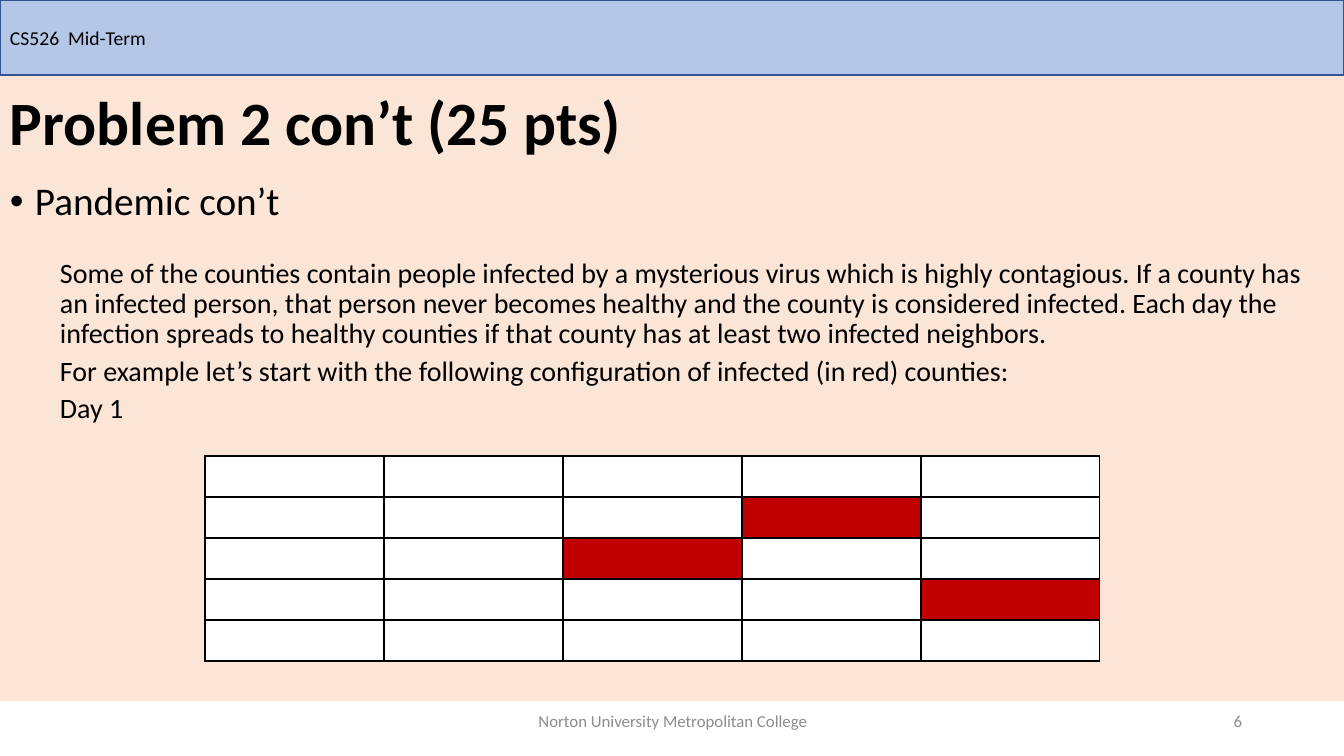
from lxml import etree
from pptx import Presentation
from pptx.dml.color import RGBColor
from pptx.enum.shapes import MSO_SHAPE
from pptx.enum.text import MSO_ANCHOR, PP_ALIGN
from pptx.oxml.ns import qn
from pptx.util import Pt

RECTANGLE = MSO_SHAPE.RECTANGLE
TOP, MIDDLE = MSO_ANCHOR.TOP, MSO_ANCHOR.MIDDLE
LEFT, CENTER, RIGHT = PP_ALIGN.LEFT, PP_ALIGN.CENTER, PP_ALIGN.RIGHT
FONT = "Calibri"
PX = 914400 / 100.8
SLIDE_WIDTH, SLIDE_HEIGHT = 1344, 756
BLACK, GRAY, WHITE, RED = "000000", "8C8C8C", "FFFFFF", "C00000"
PEACH, BLUE, DARK_BLUE = "FBE5D6", "B4C7E7", "325491"

# Content: each paragraph is (text, format values)
HEADING = {"size": 44, "bold": True, "line_spacing": 0.9}
BULLET = {"size": 28, "line_spacing": 0.9, "space_before": 10, "indent": (25, -25), "bullet": "•"}
DETAIL = {"size": 20, "line_spacing": 0.9, "space_before": 5, "indent": (50, 0)}
FIRST_DETAIL = {**DETAIL, "space_before": 25}
FOOTER = {"size": 12, "color": GRAY}

# Blocks: box in px, fill, line, anchor, paragraphs
BLOCKS = [
    ((0, 75, 1344, 102), PEACH, None, MIDDLE, [("Problem 2 con’t (25 pts)", HEADING)]),
    ((0, 0, 1344, 75), BLUE, DARK_BLUE, MIDDLE, [("CS526  Mid-Term", {"size": 14})]),
    ((446, 701, 454, 40), None, None, MIDDLE,
     [("Norton University Metropolitan College", {**FOOTER, "alignment": CENTER})]),
    ((950, 701, 302, 40), None, None, MIDDLE, [("6", {**FOOTER, "alignment": RIGHT})]),
    ((0, 177, 1344, 524), PEACH, None, TOP, [
        ("Pandemic con’t", BULLET),
        ("Some of the counties contain people infected by a mysterious virus which is highly "
         "contagious. If a county has an infected person, that person never becomes healthy and "
         "the county is considered infected. Each day the infection spreads to healthy counties "
         "if that county has at least two infected neighbors.", FIRST_DETAIL),
        ("For example let’s start with the following configuration of infected (in red) counties:",
         DETAIL),
        ("Day 1", DETAIL),
    ]),
]

GRID_LEFT, GRID_TOP, GRID_SIZE = 205, 456, 5
COUNTY_WIDTH, COUNTY_HEIGHT = 179, 41
INFECTED = {(1, 3), (2, 2), (3, 4)}


def emu(pixels):
    return round(pixels * PX)


def color(hex_string):
    return RGBColor.from_string(hex_string)


def write_paragraph(paragraph, text, values):
    run = paragraph.add_run()
    run.text = text
    run.font.name = FONT
    run.font.size = Pt(values["size"])
    run.font.bold = values.get("bold", False)
    run.font.color.rgb = color(values.get("color", BLACK))
    settings = {
        "alignment": values.get("alignment", LEFT),
        "line_spacing": values.get("line_spacing", 1.0),
        "space_before": Pt(values.get("space_before", 0)),
    }
    for name, value in settings.items():
        setattr(paragraph, name, value)
    properties = paragraph._p.get_or_add_pPr()
    margin, indent = values.get("indent", (0, 0))
    properties.set("marL", str(emu(margin)))
    properties.set("indent", str(emu(indent)))
    if "bullet" in values:
        etree.SubElement(properties, qn("a:buFont")).set("typeface", "Arial")
        etree.SubElement(properties, qn("a:buChar")).set("char", values["bullet"])


def add_block(slide, box, fill, line, anchor, paragraphs):
    box = [emu(length) for length in box]
    if fill:
        shape = slide.shapes.add_shape(RECTANGLE, *box)
        shape.shadow.inherit = False
        shape.fill.solid()
        shape.fill.fore_color.rgb = color(fill)
        if line:
            shape.line.color.rgb = color(line)
            shape.line.width = Pt(1)
        else:
            shape.line.fill.background()
    else:
        shape = slide.shapes.add_textbox(*box)
    frame = shape.text_frame
    frame.word_wrap = True
    frame.vertical_anchor = anchor
    for index, (text, values) in enumerate(paragraphs):
        paragraph = frame.add_paragraph() if index else frame.paragraphs[0]
        write_paragraph(paragraph, text, values)


def add_borders(cell):
    properties = cell._tc.get_or_add_tcPr()
    for side in ("a:lnL", "a:lnR", "a:lnT", "a:lnB"):
        border = etree.SubElement(properties, qn(side), w=str(Pt(1)))
        border_fill = etree.SubElement(border, qn("a:solidFill"))
        etree.SubElement(border_fill, qn("a:srgbClr"), val=BLACK)


def add_county_grid(slide):
    box = (GRID_LEFT, GRID_TOP, GRID_SIZE * COUNTY_WIDTH, GRID_SIZE * COUNTY_HEIGHT)
    table = slide.shapes.add_table(GRID_SIZE, GRID_SIZE, *map(emu, box)).table
    table.first_row = table.horz_banding = False
    for column in table.columns:
        column.width = emu(COUNTY_WIDTH)
    for row_index, row in enumerate(table.rows):
        row.height = emu(COUNTY_HEIGHT)
        for column_index, cell in enumerate(row.cells):
            add_borders(cell)
            cell.fill.solid()
            infected = (row_index, column_index) in INFECTED
            cell.fill.fore_color.rgb = color(RED if infected else WHITE)


def main():
    presentation = Presentation()
    presentation.slide_width = emu(SLIDE_WIDTH)
    presentation.slide_height = emu(SLIDE_HEIGHT)
    slide = presentation.slides.add_slide(presentation.slide_layouts[6])
    # Header, title, body and footer
    for block in BLOCKS:
        add_block(slide, *block)
    # County map
    add_county_grid(slide)
    presentation.save("out.pptx")


if __name__ == "__main__":
    main()
